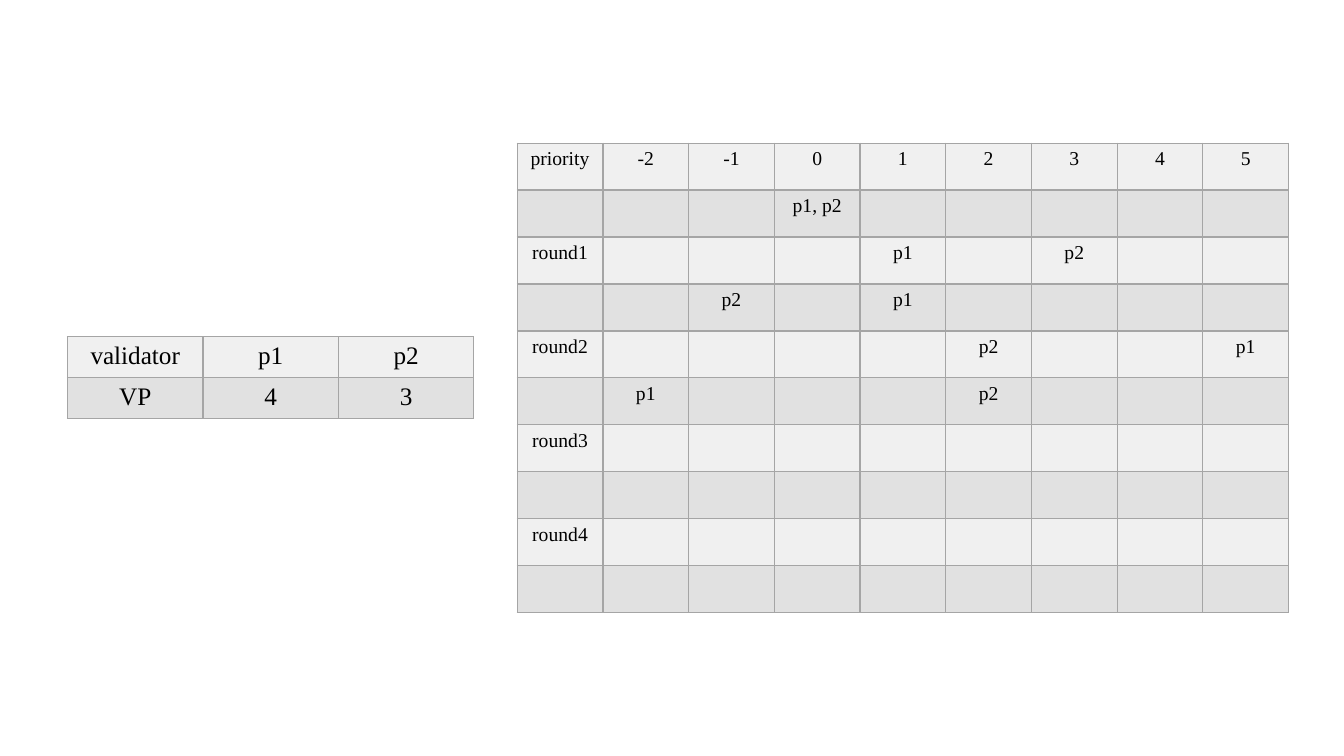
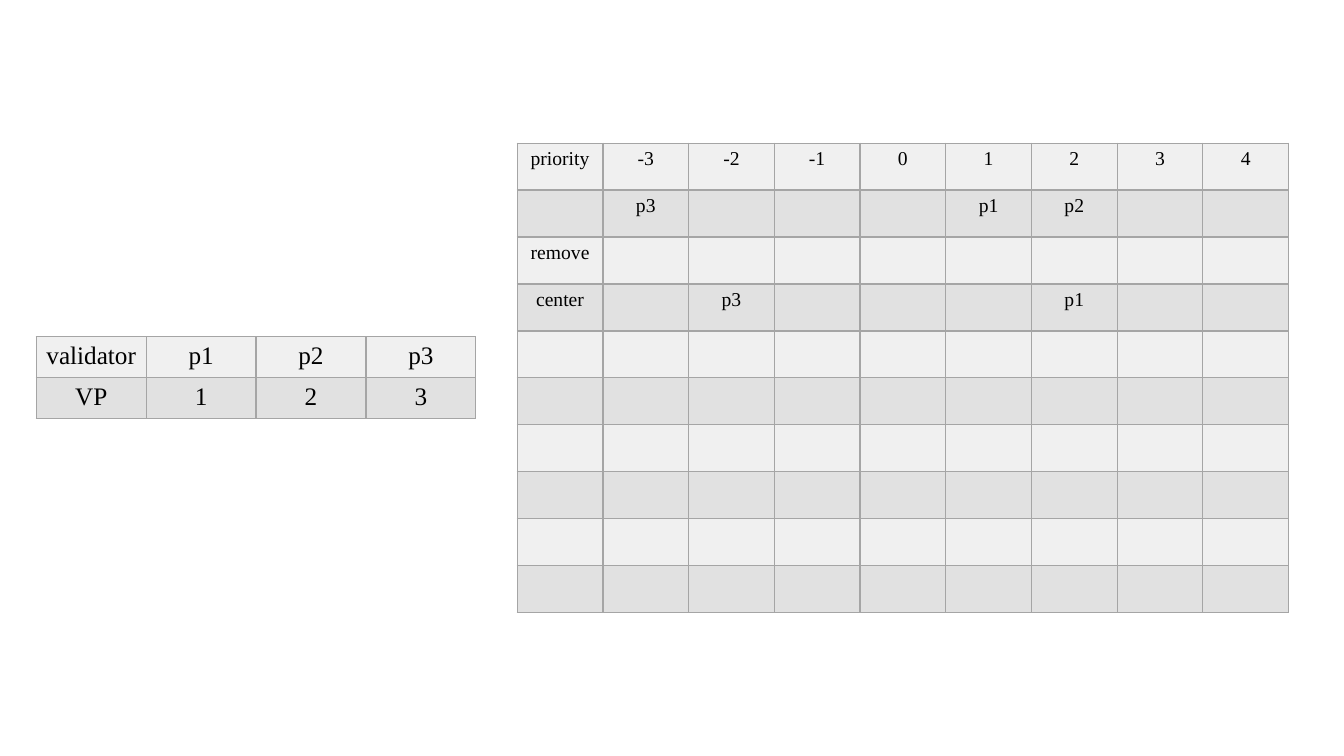
"""Build two slides showing validator voting power and proposer priorities."""
from lxml.etree import SubElement
from pptx import Presentation
from pptx.dml.color import RGBColor
from pptx.enum.text import PP_ALIGN
from pptx.oxml.ns import qn
from pptx.util import Inches, Pt

FONT = "Times New Roman"
TEXT, BORDER = "000000", "A5A5A5"
BANDS = ("F0F0F0", "E1E1E1")

PRIORITY_BOX = (5.13, 1.42, 7.65, 4.66)
POWER_TOP, POWER_HEIGHT = 3.34, 0.81

SLIDES = [
    {
        "power": {"p1": 4, "p2": 3},
        "power_left": 0.67,
        "power_width": 4.03,
        "priorities": range(-2, 6),
        "steps": [
            ("", {0: "p1, p2"}),
            ("round1", {1: "p1", 3: "p2"}),
            ("", {-1: "p2", 1: "p1"}),
            ("round2", {2: "p2", 5: "p1"}),
            ("", {-2: "p1", 2: "p2"}),
            ("round3", {}),
            ("", {}),
            ("round4", {}),
            ("", {}),
        ],
    },
    {
        "power": {"p1": 1, "p2": 2, "p3": 3},
        "power_left": 0.36,
        "power_width": 4.36,
        "priorities": range(-3, 5),
        "steps": [
            ("", {-3: "p3", 1: "p1", 2: "p2"}),
            ("remove", {}),
            ("center", {-2: "p3", 2: "p1"}),
        ] + [("", {})] * 6,
    },
]


def rgb(value):
    return RGBColor.from_string(value)


def write(tf, text, size=18, color=TEXT, align=PP_ALIGN.CENTER):
    p = tf.paragraphs[0]
    p.alignment = align
    r = p.add_run()
    r.text = text
    r.font.name, r.font.size = FONT, Pt(size)
    r.font.color.rgb = rgb(color)


def set_borders(cell, color=BORDER, width=1):
    props = cell._tc.get_or_add_tcPr()
    for side in ("lnL", "lnR", "lnT", "lnB"):
        line = SubElement(props, qn(f"a:{side}"), w=str(Pt(width)))
        fill = SubElement(line, qn("a:solidFill"))
        SubElement(fill, qn("a:srgbClr"), val=color)


def add_grid(s, rows, box, size):
    left, top, width, height = box
    table = s.shapes.add_table(len(rows), len(rows[0]), *map(Inches, box)).table
    table.first_row = table.horz_banding = False
    for column in table.columns:
        column.width = Inches(width / len(rows[0]))
    for i, values in enumerate(rows):
        table.rows[i].height = Inches(height / len(rows))
        for j, value in enumerate(values):
            cell = table.cell(i, j)
            set_borders(cell)
            cell.fill.solid()
            cell.fill.fore_color.rgb = rgb(BANDS[i % 2])
            if value != "":
                write(cell.text_frame, str(value), size=size)


def add_slide(prs, data):
    s = prs.slides.add_slide(prs.slide_layouts[6])
    priorities = data["priorities"]
    steps = [["priority", *priorities]]
    for label, places in data["steps"]:
        steps.append([label, *(places.get(n, "") for n in priorities)])
    add_grid(s, steps, PRIORITY_BOX, 14)

    power = data["power"]
    power_box = (data["power_left"], POWER_TOP, data["power_width"], POWER_HEIGHT)
    add_grid(s, [["validator", *power], ["VP", *power.values()]], power_box, 18)


def main():
    prs = Presentation()
    prs.slide_width, prs.slide_height = Inches(13.33), Inches(7.5)
    for data in SLIDES:
        add_slide(prs, data)
    prs.save("out.pptx")


if __name__ == "__main__":
    main()
